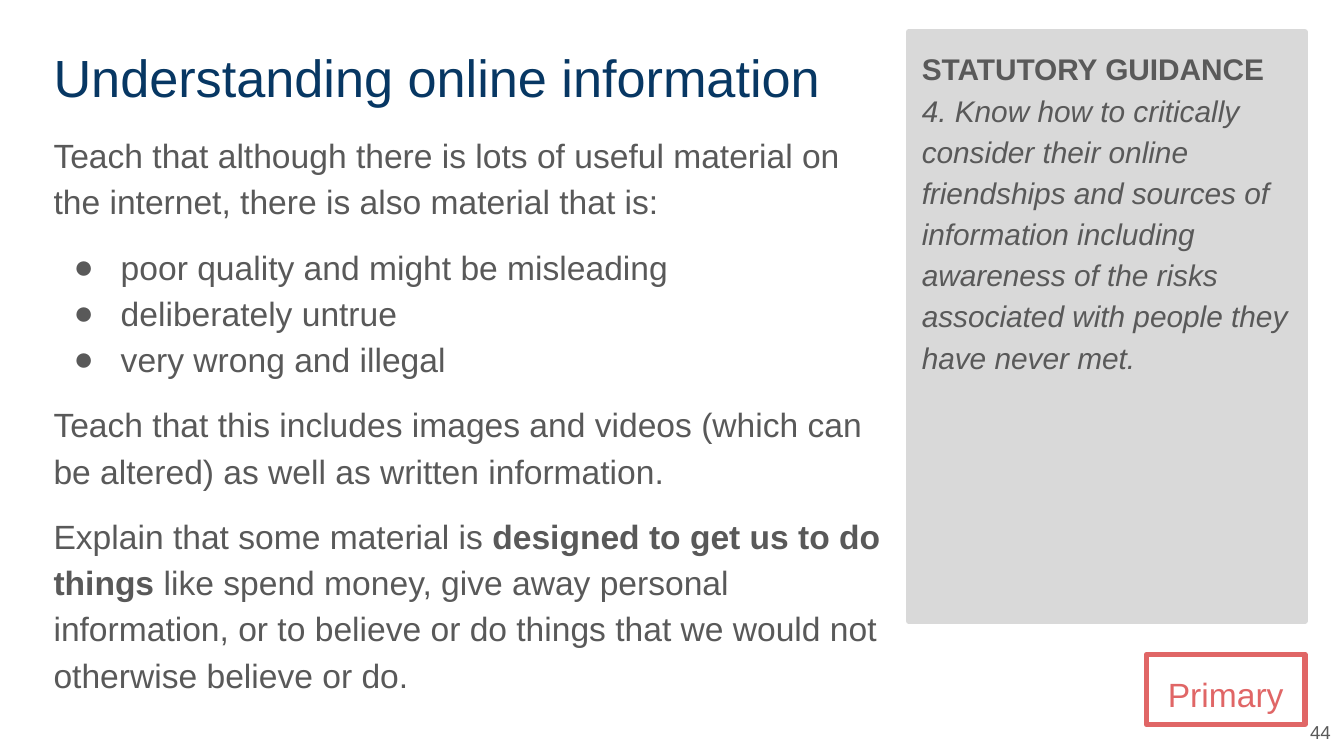
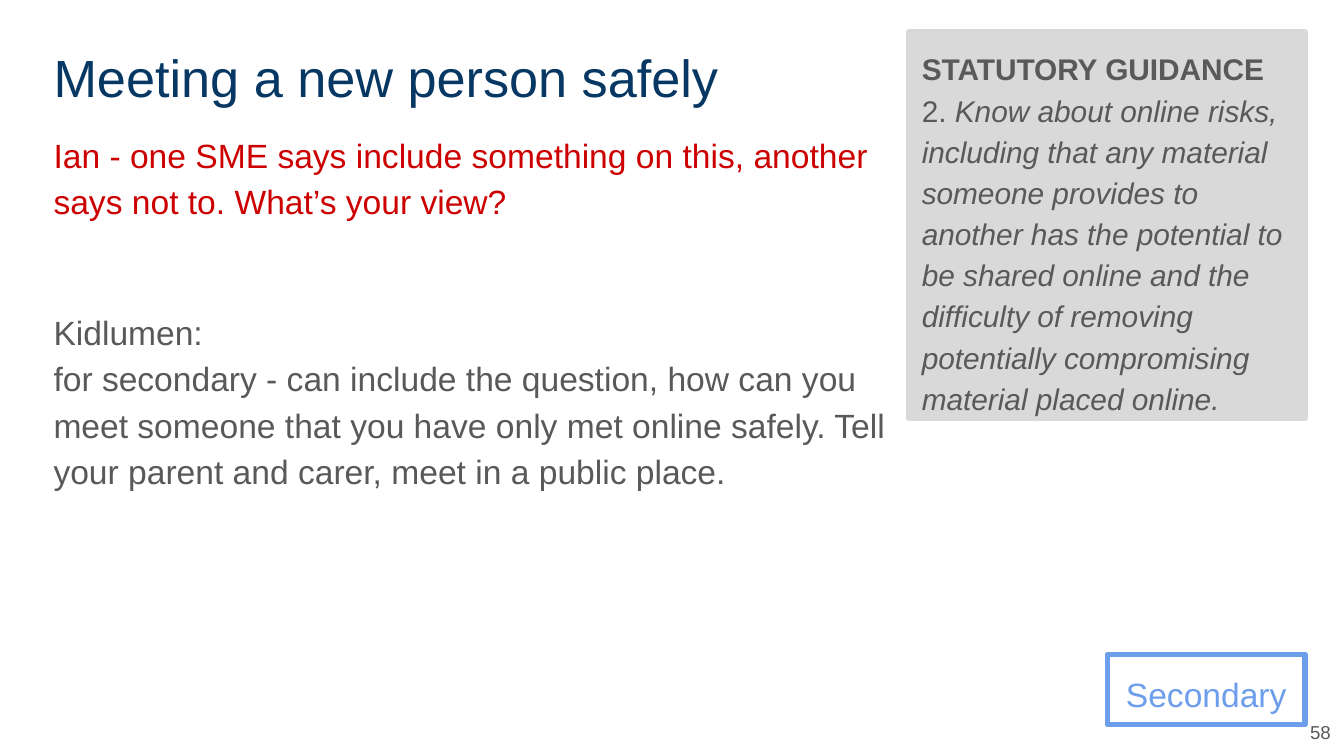
"""Build two teaching slides with a statutory guidance panel and a school phase tag."""
import copy

import pptx
import pptx.dml.color
import pptx.enum.shapes
import pptx.enum.text
import pptx.util
from lxml import etree
from pptx.oxml.ns import qn
from pptx.util import Inches

FONT = "Arial"
NAVY, GREY, PANEL, RED = "073763", "595959", "D9D9D9", "CC0000"
CORAL, BLUE = "E06666", "6D9EEB"
LEFT, TOP, MAIN_WIDTH = 0.3, 0.24, 6.41
PANEL_LEFT, PANEL_WIDTH = 6.76, 2.95
RIGHT = PANEL_LEFT + PANEL_WIDTH
ALIGN = pptx.enum.text.PP_ALIGN
ANCHOR = pptx.enum.text.MSO_ANCHOR

GUIDANCE_HEADING = ("STATUTORY GUIDANCE\n", "b")

SLIDES = [
    {
        "title": "Understanding online information",
        "number": "44",
        "tag": ("Primary", CORAL, 1.18),
        "panel_height": 4.38,
        "guidance": [
            ("4. Know how to critically consider their online friendships and sources of "
             "information including awareness of the risks associated with people they "
             "have never met.", "i"),
        ],
        "body": [
            {"spans": [("Teach that although there is lots of useful material on the "
                        "internet, there is also material that is:", "")]},
            {"spans": [("poor quality and might be misleading", "")],
             "bullet": True, "before": 10},
            {"spans": [("deliberately untrue", "")], "bullet": True},
            {"spans": [("very wrong and illegal", "")], "bullet": True},
            {"spans": [("Teach that this includes images and videos (which can be altered) "
                        "as well as written information.", "")], "before": 10},
            {"spans": [("Explain that some material is ", ""),
                       ("designed to get us to do things", "b"),
                       (" like spend money, give away personal information, or to believe "
                        "or do things that we would not otherwise believe or do.", "")],
             "before": 10},
        ],
    },
    {
        "title": "Meeting a new person safely",
        "number": "58",
        "tag": ("Secondary", BLUE, 1.47),
        "panel_height": 2.87,
        "guidance": [
            ("2. ", ""),
            ("Know about online risks, including that any material someone provides to "
             "another has the potential to be shared online and the difficulty of removing "
             "potentially compromising material placed online.", "i"),
        ],
        "body": [
            {"spans": [("Ian - one SME says include something on this, another says not to. "
                        "What’s your view?", "")], "color": RED},
            {"spans": [("Kidlumen: \n", ""),
                       ("for secondary - can include the question, how can you meet someone "
                        "that you have only met online safely. Tell your parent and carer, "
                        "meet in a public place.", "")], "before": 45},
        ],
    },
]


def rgb(value):
    return pptx.dml.color.RGBColor.from_string(value)


def add_bullet(para, size):
    properties = para._p.get_or_add_pPr()
    properties.set("marL", str(Inches(0.5)))
    properties.set("indent", str(Inches(-0.35)))
    for tag, name, value in (("a:buSzPts", "val", str(size * 100)),
                             ("a:buFont", "typeface", FONT),
                             ("a:buChar", "char", "●")):
        etree.SubElement(properties, qn(tag)).set(name, value)


def add_span(para, words, style, size, color):
    """Add a run, followed by a line break of the same format if it ends in one."""
    span = para.add_run()
    span.text = words.removesuffix("\n")
    span.font.name = FONT
    span.font.size = pptx.util.Pt(size)
    span.font.bold = style == "b"
    span.font.italic = style == "i"
    span.font.color.rgb = rgb(color)
    if words.endswith("\n"):
        para.add_line_break()
        para._p[-1].append(copy.deepcopy(span._r.rPr))


def write(box, text, size=18, color=GREY, align=ALIGN.LEFT, anchor=ANCHOR.TOP, spacing=1.15):
    """Fill a box with a plain string or a list of paragraph dicts."""
    frame = box.text_frame
    frame.word_wrap = True
    frame.vertical_anchor = anchor
    frame.margin_left = frame.margin_right = Inches(0.1)
    frame.margin_top = frame.margin_bottom = Inches(0.1)
    items = [{"spans": [(text, "")]}] if isinstance(text, str) else text
    for index, item in enumerate(items):
        para = frame.add_paragraph() if index else frame.paragraphs[0]
        para.alignment = align
        para.line_spacing = spacing
        if "before" in item:
            para.space_before = pptx.util.Pt(item["before"])
        if item.get("bullet"):
            add_bullet(para, size)
        for words, style in item["spans"]:
            add_span(para, words, style, size, item.get("color", color))


def add_text(page, place, text, **style):
    write(page.shapes.add_textbox(*map(Inches, place)), text, **style)


def add_frame(page, place, text, line, fill=None, **style):
    box = page.shapes.add_shape(pptx.enum.shapes.MSO_SHAPE.RECTANGLE, *map(Inches, place))
    box.shadow.inherit = False
    if fill:
        box.fill.solid()
        box.fill.fore_color.rgb = rgb(fill)
    else:
        box.fill.background()
    box.line.color.rgb = rgb(line)
    box.line.width = pptx.util.Pt(3)
    write(box, text, **style)


def build_page(deck, content):
    page = deck.slides.add_slide(deck.slide_layouts[6])
    add_text(page, (LEFT, TOP, MAIN_WIDTH, 0.63), content["title"],
             size=28, color=NAVY, spacing=1.0)
    add_text(page, (LEFT, 0.86, MAIN_WIDTH, 4.01), content["body"])
    add_text(page, (9.61, 5.26, 0.39, 0.37), content["number"],
             size=10, align=ALIGN.RIGHT, anchor=ANCHOR.MIDDLE, spacing=1.0)
    add_frame(page, (PANEL_LEFT, TOP, PANEL_WIDTH, content["panel_height"]),
              [{"spans": [GUIDANCE_HEADING, *content["guidance"]]}],
              line=PANEL, fill=PANEL, size=16)
    label, color, width = content["tag"]
    add_frame(page, (RIGHT - width, 4.87, width, 0.52), label,
              line=color, color=color, align=ALIGN.CENTER)


def main():
    deck = pptx.Presentation()
    deck.slide_width = Inches(10)
    deck.slide_height = deck.slide_width * 9 // 16
    for content in SLIDES:
        build_page(deck, content)
    deck.save("out.pptx")


if __name__ == "__main__":
    main()
